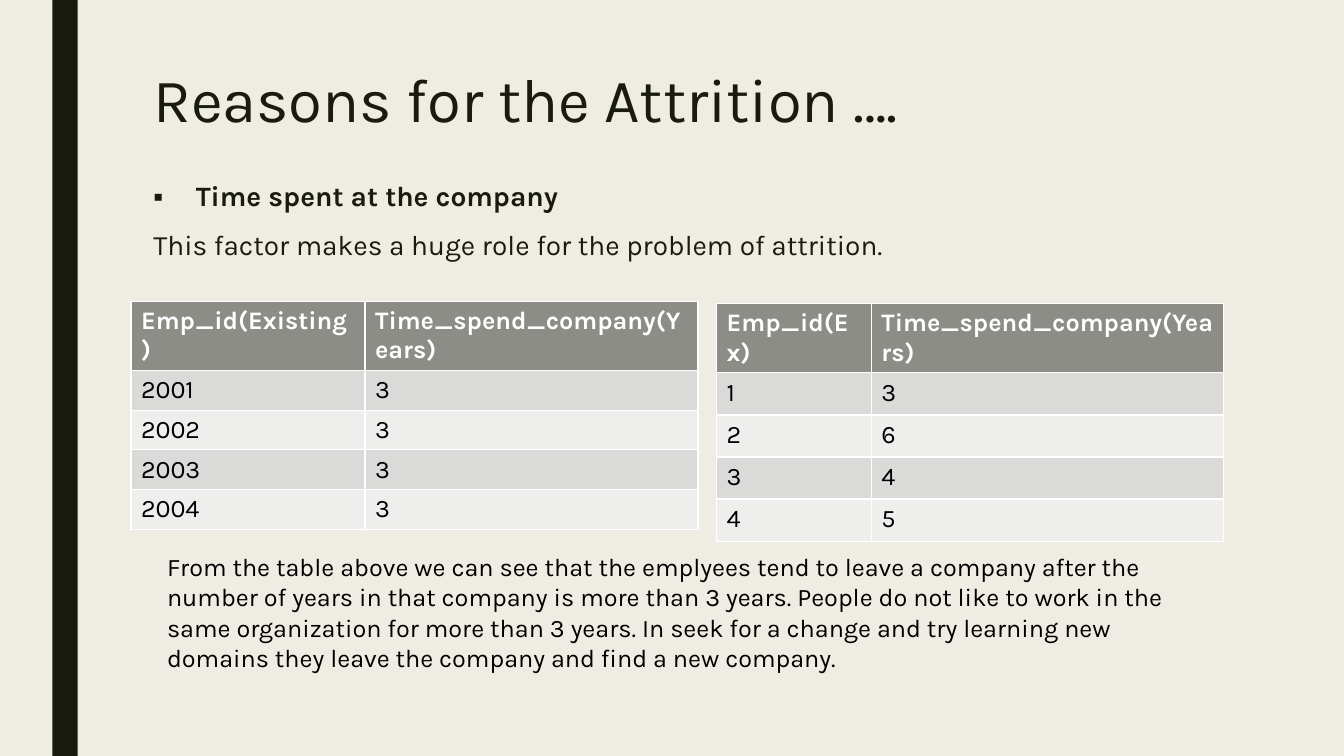
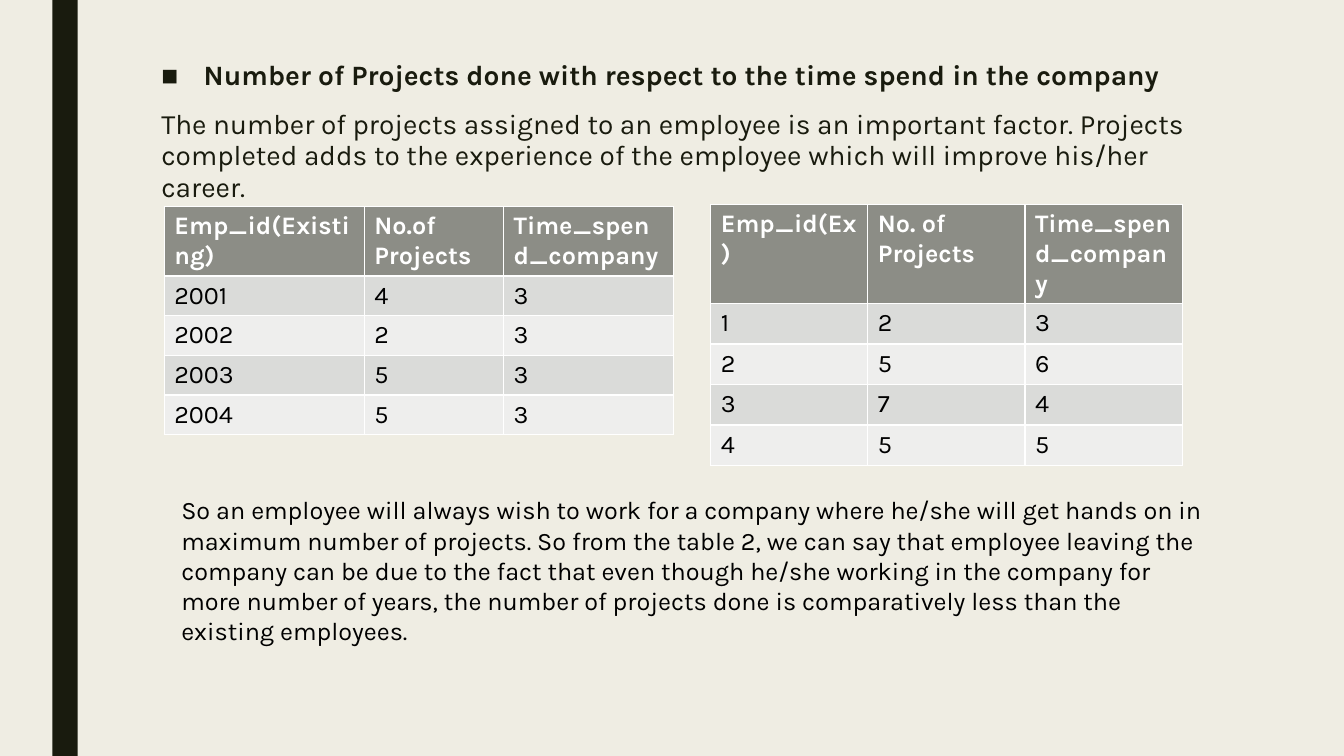
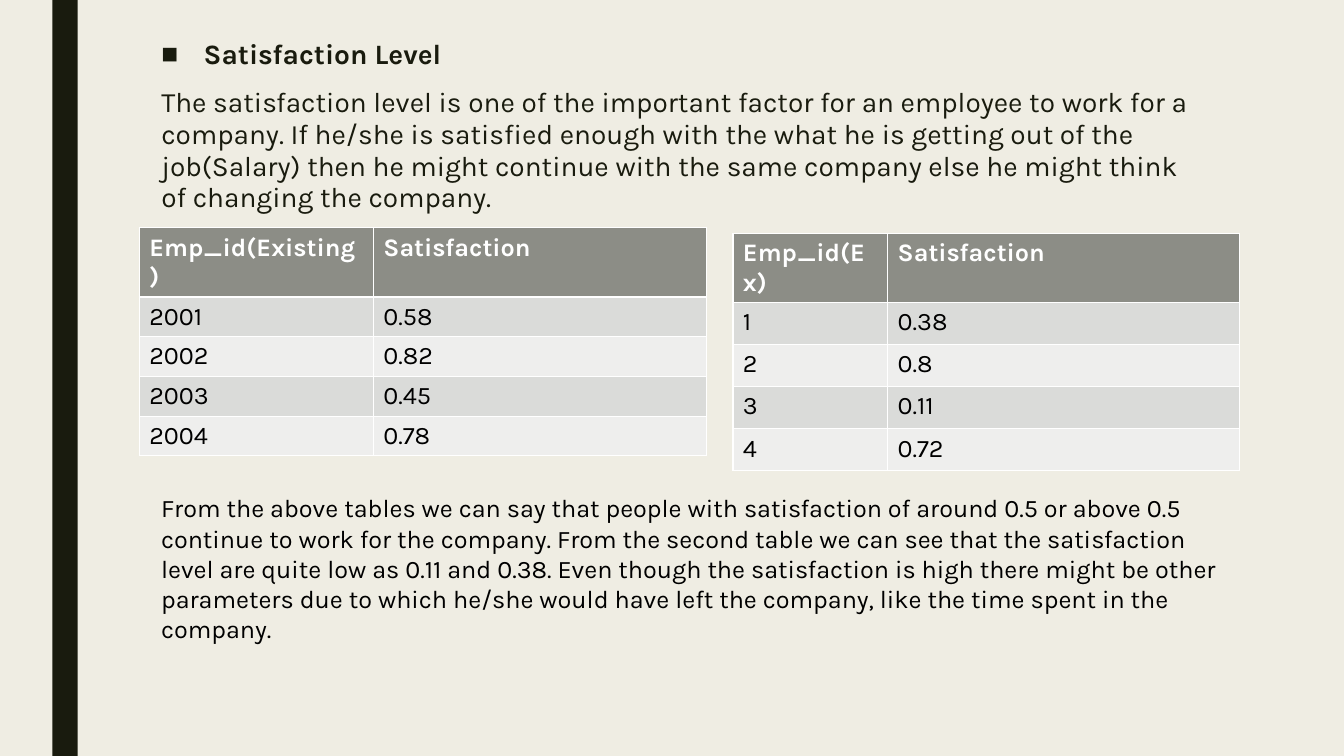
from lxml import etree
from pptx import Presentation
from pptx.dml.color import RGBColor
from pptx.enum.shapes import MSO_SHAPE
from pptx.enum.text import MSO_ANCHOR, MSO_AUTO_SIZE, PP_ALIGN
from pptx.oxml.ns import qn
from pptx.util import Cm, Pt

FONT = "Karla"
INK = RGBColor(0x19, 0x1B, 0x0E)
PAPER = RGBColor(0xEF, 0xED, 0xE3)
BLACK = RGBColor(0x00, 0x00, 0x00)
WHITE = RGBColor(0xFF, 0xFF, 0xFF)
HEADER = RGBColor(0x8C, 0x8D, 0x86)
BANDS = (RGBColor(0xDA, 0xDB, 0xD9), RGBColor(0xEE, 0xEE, 0xED))

RECT = MSO_SHAPE.RECTANGLE
LEFT = PP_ALIGN.LEFT
TOP = MSO_ANCHOR.TOP
NO_FIT = MSO_AUTO_SIZE.NONE
GROW = MSO_AUTO_SIZE.SHAPE_TO_FIT_TEXT

TITLE_AND_CONTENT = 1
SMALL_SQUARE, SQUARE = "▪", "■"
HANG = Cm(1.07)

EXISTING = ("2001", "2002", "2003", "2004")
EX = ("1", "2", "3", "4")
EXISTING_YEARS = ("3", "3", "3", "3")
EX_YEARS = ("3", "6", "4", "5")
EXISTING_COLS = (5.9, 8.39)
EX_COLS = (3.9, 8.87)
EXISTING_ROWS = (1.45, 0.97)
EX_ROWS = (1.06, 1.06)


class Deck:
    """Holds the shared style and the slide being built."""

    def __init__(self):
        self.prs = Presentation()
        self.prs.slide_width = Cm(33.87)
        self.prs.slide_height = Cm(19.05)
        fill = self.prs.slide_master.background.fill
        fill.solid()
        fill.fore_color.rgb = PAPER
        self.s = None

    def slide(self, title=None):
        first = self.s is None
        self.s = self.prs.slides.add_slide(self.prs.slide_layouts[TITLE_AND_CONTENT])
        if first:
            self.master_band()
        sp = self.s.shapes.title
        if title is None:
            sp.element.getparent().remove(sp.element)
            return
        self.place(sp, 3.61, 1.63, 26.67, 3.63)
        p = sp.text_frame.paragraphs[0]
        p.line_spacing = 0.89
        self.run(p, title, 44, INK)

    def master_band(self):
        sp = self.s.shapes.add_shape(RECT, Cm(1.32), 0, Cm(0.64), self.prs.slide_height)
        sp.shadow.inherit = False
        sp.fill.solid()
        sp.fill.fore_color.rgb = INK
        sp.line.fill.background()
        self.prs.slide_master.shapes.element.append(sp.element)

    def place(self, sp, left, top, width, height):
        sp.left, sp.top, sp.width, sp.height = map(Cm, (left, top, width, height))
        tf = sp.text_frame
        tf.word_wrap = True
        tf.auto_size = NO_FIT
        tf.vertical_anchor = TOP

    def run(self, p, text, size, color, bold=False):
        p.alignment = LEFT
        r = p.add_run()
        r.text = text
        r.font.name = FONT
        r.font.size = Pt(size)
        r.font.bold = bold
        r.font.color.rgb = color

    def bullet(self, p, char):
        pPr = p._p.get_or_add_pPr()
        indent = HANG if char else 0
        pPr.set("marL", str(indent))
        pPr.set("indent", str(-indent))
        if char:
            etree.SubElement(pPr, qn("a:buFont")).set("typeface", "Arial")
            etree.SubElement(pPr, qn("a:buChar")).set("char", char)
        else:
            etree.SubElement(pPr, qn("a:buNone"))

    def body(self, left, top, height, char, heading, text):
        sp = self.s.placeholders[1]
        self.place(sp, left, top, 26.67, height)
        tf = sp.text_frame
        lines = ((tf.paragraphs[0], heading, char), (tf.add_paragraph(), text, None))
        for p, line, mark in lines:
            p.line_spacing = 0.94
            p.space_before = Pt(10)
            p.space_after = Pt(2)
            self.bullet(p, mark)
            self.run(p, line, 20, INK, bold=mark is not None)

    def table(self, left, top, cols, row_heights, columns):
        """Draws a table from a mapping of heading to column values."""
        rows = [tuple(columns), *zip(*columns.values())]
        head, rest = row_heights
        heights = [head] + [rest] * (len(rows) - 1)
        table = self.s.shapes.add_table(
            len(rows), len(cols), Cm(left), Cm(top), Cm(sum(cols)), Cm(sum(heights))
        ).table
        for col, width in zip(table.columns, cols):
            col.width = Cm(width)
        for i, values in enumerate(rows):
            table.rows[i].height = Cm(heights[i])
            for j, value in enumerate(values):
                cell = table.cell(i, j)
                cell.fill.solid()
                cell.fill.fore_color.rgb = BANDS[(i - 1) % 2] if i else HEADER
                p = cell.text_frame.paragraphs[0]
                self.run(p, value, 18, BLACK if i else WHITE, bold=i == 0)

    def note(self, left, top, width, text):
        sp = self.s.shapes.add_textbox(Cm(left), Cm(top), Cm(width), Cm(3.33))
        tf = sp.text_frame
        tf.word_wrap = True
        tf.auto_size = GROW
        self.run(tf.paragraphs[0], text, 18, BLACK)


deck = Deck()

deck.slide("Reasons for the Attrition ….")
deck.body(3.61, 4.45, 10.72, SMALL_SQUARE, "Time spent at the company",
          "This factor makes a huge role for the problem of attrition.")
deck.table(3.3, 7.59, EXISTING_COLS, EXISTING_ROWS,
           {"Emp_id(Existing)": EXISTING, "Time_spend_company(Years)": EXISTING_YEARS})
deck.table(18.06, 7.65, EX_COLS, EX_ROWS,
           {"Emp_id(Ex)": EX, "Time_spend_company(Years)": EX_YEARS})
deck.note(3.96, 13.77, 26.87,
          "From the table above we can see that the emplyees tend to leave a company "
          "after the number of years in that company is more than 3 years. People do "
          "not like to work in the same organization for more than 3 years. In seek "
          "for a change and try learning new domains they leave the company and "
          "find a new company.")

deck.slide()
deck.body(3.81, 1.4, 14.91, SQUARE,
          "Number of Projects done with respect to the time spend in the company",
          "The number of projects assigned to an employee is an important factor. "
          "Projects completed adds to the experience of the employee which will "
          "improve his/her career.")
deck.table(17.91, 5.16, (3.96, 3.96, 3.96), (1.78, 1.02),
           {"Emp_id(Ex)": EX, "No. of Projects": ("2", "5", "7", "5"),
            "Time_spend_company": EX_YEARS})
deck.table(4.14, 5.21, (5.04, 3.51, 4.28), (0.89, 0.89),
           {"Emp_id(Existing)": EXISTING, "No.of Projects": ("4", "2", "5", "5"),
            "Time_spend_company": EXISTING_YEARS})
deck.note(4.32, 12.34, 26.52,
          "So an employee will always wish to work for a company where he/she will get "
          "hands on in maximum number of projects. So from the table 2, we can say that "
          "employee leaving the company can be due to the fact that even though he/she "
          "working in the company for more number of years, the number of projects done "
          "is comparatively less than the existing employees.")

deck.slide()
deck.body(3.81, 0.86, 15.42, SQUARE, "Satisfaction Level",
          "The satisfaction level is one of the important factor for an employee to work "
          "for a company. If he/she is satisfied enough with the what he is getting out "
          "of the job(Salary) then he might continue with the same company else he might "
          "think of changing the company.")
deck.table(3.51, 5.74, EXISTING_COLS, EXISTING_ROWS,
           {"Emp_id(Existing)": EXISTING, "Satisfaction": ("0.58", "0.82", "0.45", "0.78")})
deck.table(18.47, 5.88, EX_COLS, EX_ROWS,
           {"Emp_id(Ex)": EX, "Satisfaction": ("0.38", "0.8", "0.11", "0.72")})
deck.note(3.81, 12.29, 27.43,
          "From the above tables we can say that people with satisfaction of around 0.5 "
          "or above 0.5 continue to work for the company. From the second table we can "
          "see that the satisfaction level are quite low as 0.11 and 0.38. Even though "
          "the satisfaction is high there might be other parameters due to which he/she "
          "would have left the company, like the time spent in the company.")

deck.prs.save("out.pptx")
